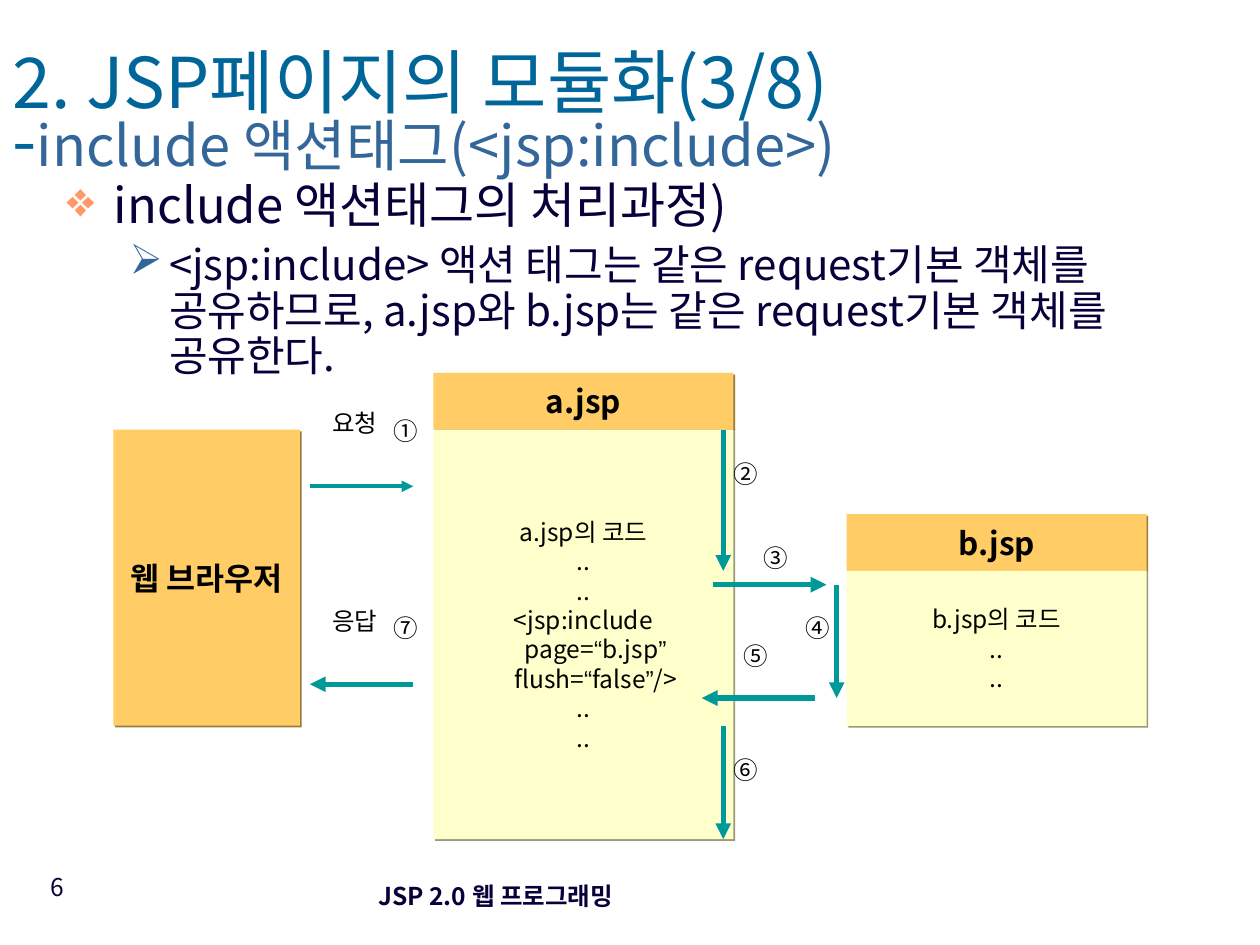
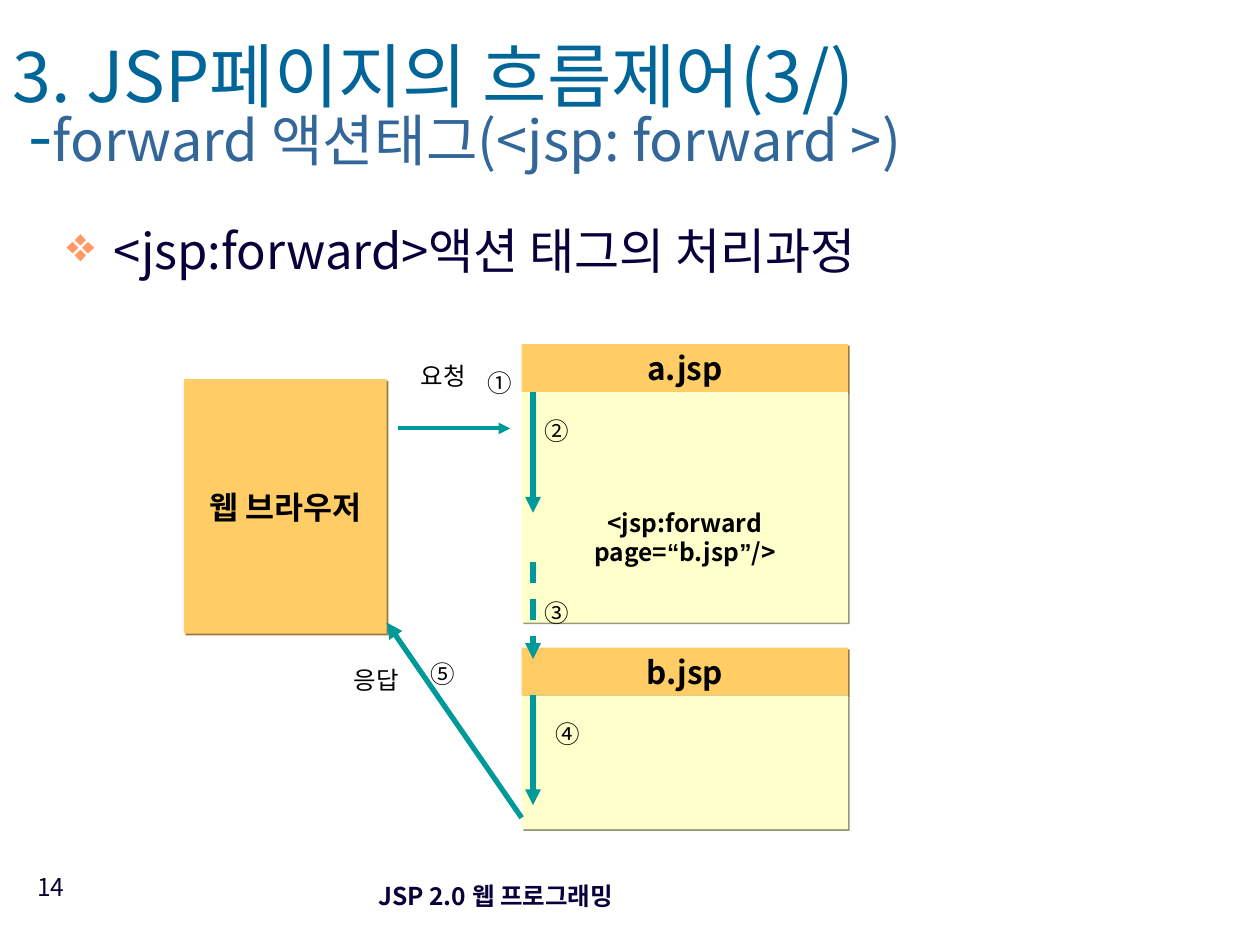
"""Builds two slides on how the JSP include and forward action tags are processed."""
from itertools import groupby

from lxml import etree
from pptx import Presentation
from pptx.dml.color import RGBColor
from pptx.enum import dml, shapes, text
from pptx.oxml import ns
from pptx.util import Pt

FONT, QUOTE_FONT = "Noto Sans CJK KR", "Arial"
TITLE, SUBTITLE, INK, BLACK = "006699", "336699", "08003A", "010000"
ORANGE, CREAM, TEAL = "FFCC66", "FFFFCC", "009999"
SHADOWS = {ORANGE: "997A3D", CREAM: "99997A"}
LEFT, CENTER, RIGHT = text.PP_ALIGN.LEFT, text.PP_ALIGN.CENTER, text.PP_ALIGN.RIGHT
TOP, MIDDLE = text.MSO_ANCHOR.TOP, text.MSO_ANCHOR.MIDDLE
INSETS = (7.2, 3.6, 7.2, 3.6)
FOOTER = "JSP 2.0 웹 프로그래밍"
LEVELS = [
    dict(size=28, indent=27, hang=27, before=7, bullet="❖", color="FF9966"),
    dict(size=24, indent=58.5, hang=22.5, before=6, bullet="➢", color=SUBTITLE),
]

SLIDES = [
    dict(
        number="6", title="2. JSP페이지의 모듈화(3/8)\v-",
        subtitle="include 액션태그(<jsp:include>)", title_height=96.5,
        body=["include 액션태그의 처리과정)",
              "<jsp:include> 액션 태그는 같은 request기본 객체를 공유하므로, "
              "a.jsp와 b.jsp는 같은 request기본 객체를 공유한다."],
        body_box=(31, 100, 663, 130.3), spacing=0.9,
        browser=(64.8, 245.5, 106.6, 169.2),
        pages=[
            dict(name="a.jsp", box=(247.7, 213.1, 171.4, 266.4), header=32.4,
                 code=["a.jsp의 코드", "..", "..", "<jsp:include", "page=“b.jsp”",
                       "flush=“false”/>", "..", ".."]),
            dict(name="b.jsp", box=(483.8, 293.8, 171.4, 121), header=32.4,
                 code=["b.jsp의 코드", "..", ".."]),
        ],
        arrows=[(177.1, 277.9, 236.2, 277.9, 2.25), (236.2, 391, 177.1, 391, 3),
                (413.3, 245.5, 413.3, 326.2, 3), (407.5, 334.1, 472.3, 334.1, 3),
                (465.8, 398.9, 401, 398.9, 3), (478.1, 334.1, 478.1, 398.9, 3),
                (413.3, 414.7, 413.3, 479.5, 3)],
        dashed=[],
        labels=[("응답", 182.9, 342.7), ("요청", 182.9, 229.7), ("①", 224.6, 237.6),
                ("②", 419, 262.1), ("③", 436.3, 310.3), ("④", 460.1, 350.6),
                ("⑤", 424.8, 366.5), ("⑥", 419, 431.3), ("⑦", 224.6, 350.6)],
    ),
    dict(
        number="14", title="3. JSP페이지의 흐름제어(3/)\v -",
        subtitle="forward 액션태그(<jsp: forward >)", title_height=90.7,
        body=["<jsp:forward>액션 태그의 처리과정"],
        body_box=(31, 122.4, 663, 56.9), spacing=1.0,
        browser=(105.1, 216.7, 115.9, 145.4),
        pages=[
            dict(name="a.jsp", box=(298.1, 196.6, 186.5, 159.2), header=27.5,
                 code=["<jsp:forward", "page=“b.jsp”/>"], bold=True, drop=34),
            dict(name="b.jsp", box=(298.1, 370.1, 186.5, 103.8), header=27.5, code=[]),
        ],
        arrows=[(227.5, 244.8, 291.6, 244.8, 2.25), (304.6, 223.9, 304.6, 293, 3),
                (298.1, 467.3, 221, 355.7, 3), (304.6, 397.4, 304.6, 460.1, 3)],
        dashed=[(304.6, 321.1, 304.6, 376.6, 3)],
        labels=[("응답", 195.1, 376.6), ("요청", 233.3, 203), ("①", 278.6, 210.2),
                ("②", 311, 237.6), ("③", 311, 342), ("④", 317.5, 411.1),
                ("⑤", 246.2, 376.6)],
    ),
]
CODE_INDENTS = {"page=“b.jsp”": 14, "flush=“false”/>": 14}


def rgb(color):
    return RGBColor.from_string(color)


def element(parent, tag, **attributes):
    return etree.SubElement(parent, ns.qn(tag), attributes)


def style(r, size, color, bold=False, font=FONT):
    r.font.size, r.font.bold, r.font.name = Pt(size), bold, font
    r.font.color.rgb = rgb(color)
    element(r.font._element, "a:ea", typeface=font)


def place(sp, box):
    sp.left, sp.top, sp.width, sp.height = map(Pt, box)


def frame(sp, anchor, insets=INSETS, wrap=True):
    tf = sp.text_frame
    tf.word_wrap, tf.vertical_anchor = wrap, anchor
    tf.auto_size = text.MSO_AUTO_SIZE.NONE
    tf.margin_left, tf.margin_top, tf.margin_right, tf.margin_bottom = map(Pt, insets)
    return tf


def write(tf, lines, size, color, align=LEFT, bold=False):
    for i, line in enumerate(lines):
        p = tf.add_paragraph() if i else tf.paragraphs[0]
        p.alignment = align
        for quoted, chars in groupby(line, lambda c: c in "“”"):
            r = p.add_run()
            r.text = "".join(chars)
            style(r, size, color, bold, QUOTE_FONT if quoted else FONT)


def add_text(s, line, box, size=14, color=BLACK, align=LEFT, bold=False,
             anchor=TOP, insets=INSETS):
    sp = s.shapes.add_textbox(*map(Pt, box))
    write(frame(sp, anchor, insets), [line], size, color, align, bold)


def add_title(s, title, subtitle, height):
    sp = s.shapes.title
    place(sp, (0, 20.2, 614.9, height))
    p = frame(sp, MIDDLE).paragraphs[0]
    p.text = title
    p.alignment, p.line_spacing = LEFT, 0.7
    for r in p.runs:
        style(r, 40, TITLE)
    r = p.add_run()
    r.text = subtitle
    style(r, 32, SUBTITLE)


def add_body(s, lines, box, spacing):
    tf = frame(s.shapes.add_textbox(*map(Pt, box)), TOP)
    write(tf, lines, 28, INK)
    for p, level in zip(tf.paragraphs, LEVELS):
        p.line_spacing, p.space_before = spacing, Pt(level["before"])
        for r in p.runs:
            r.font.size = Pt(level["size"])
        ppr = p._p.get_or_add_pPr()
        ppr.set("marL", str(Pt(level["indent"])))
        ppr.set("indent", str(-Pt(level["hang"])))
        element(element(ppr, "a:buClr"), "a:srgbClr", val=level["color"])
        element(ppr, "a:buChar", char=level["bullet"])


def add_box(s, box, fill, lines, size, bold=False, drop=0):
    sp = s.shapes.add_shape(shapes.MSO_SHAPE.RECTANGLE, *map(Pt, box))
    sp.fill.solid()
    sp.fill.fore_color.rgb = rgb(fill)
    sp.line.fill.background()
    sp.shadow.inherit = False
    effects = sp._element.spPr.find(ns.qn("a:effectLst"))
    shadow = element(effects, "a:outerShdw", dist=str(Pt(1.4)), dir="2700000",
                     algn="ctr", rotWithShape="0")
    element(shadow, "a:srgbClr", val=SHADOWS[fill])
    left, top, right, bottom = INSETS
    tf = frame(sp, MIDDLE, (left, top + drop, right, bottom), wrap=False)
    write(tf, lines, size, BLACK, CENTER, bold)
    for p, line in zip(tf.paragraphs, lines):
        if line in CODE_INDENTS:
            p._p.get_or_add_pPr().set("marL", str(Pt(CODE_INDENTS[line])))


def add_page(s, name, box, header, code, bold=False, drop=0):
    x, y, w, h = box
    add_box(s, (x, y, w, header), ORANGE, [name], 18, True)
    add_box(s, (x, y + header, w, h - header), CREAM, code, 14, bold, drop)


def add_arrow(s, x1, y1, x2, y2, width, dashed=False):
    line = s.shapes.add_connector(shapes.MSO_CONNECTOR.STRAIGHT, *map(Pt, (x1, y1, x2, y2)))
    line.line.width = Pt(width)
    line.line.color.rgb = rgb(TEAL)
    if dashed:
        line.line.dash_style = dml.MSO_LINE.DASH
    element(line.line._get_or_add_ln(), "a:tailEnd", type="triangle")
    element(line._element.spPr, "a:effectLst")


def add_label(s, label, x, y):
    if len(label) == 1:
        add_text(s, label, (x, y, 18, 16.6), insets=(0, 0, 0, 0))
    else:
        add_text(s, label, (x, y, 56, 24.5))


def build(prs, data):
    s = prs.slides.add_slide(prs.slide_layouts[5])
    add_text(s, FOOTER, (169.2, 493.9, 228.2, 36), color=INK, align=CENTER,
             bold=True, anchor=MIDDLE)
    add_text(s, data["number"], (10.1, 494.6, 33.8, 37.4), color=INK, align=RIGHT)
    add_title(s, data["title"], data["subtitle"], data["title_height"])
    add_body(s, data["body"], data["body_box"], data["spacing"])
    add_box(s, data["browser"], ORANGE, ["웹 브라우저"], 18, True)
    for page in data["pages"]:
        add_page(s, **page)
    for arrow in data["arrows"]:
        add_arrow(s, *arrow)
    for arrow in data["dashed"]:
        add_arrow(s, *arrow, dashed=True)
    for label in data["labels"]:
        add_label(s, *label)


def main():
    prs = Presentation()
    prs.slide_width, prs.slide_height = Pt(720), Pt(540)
    for data in SLIDES:
        build(prs, data)
    prs.save("out.pptx")


if __name__ == "__main__":
    main()
